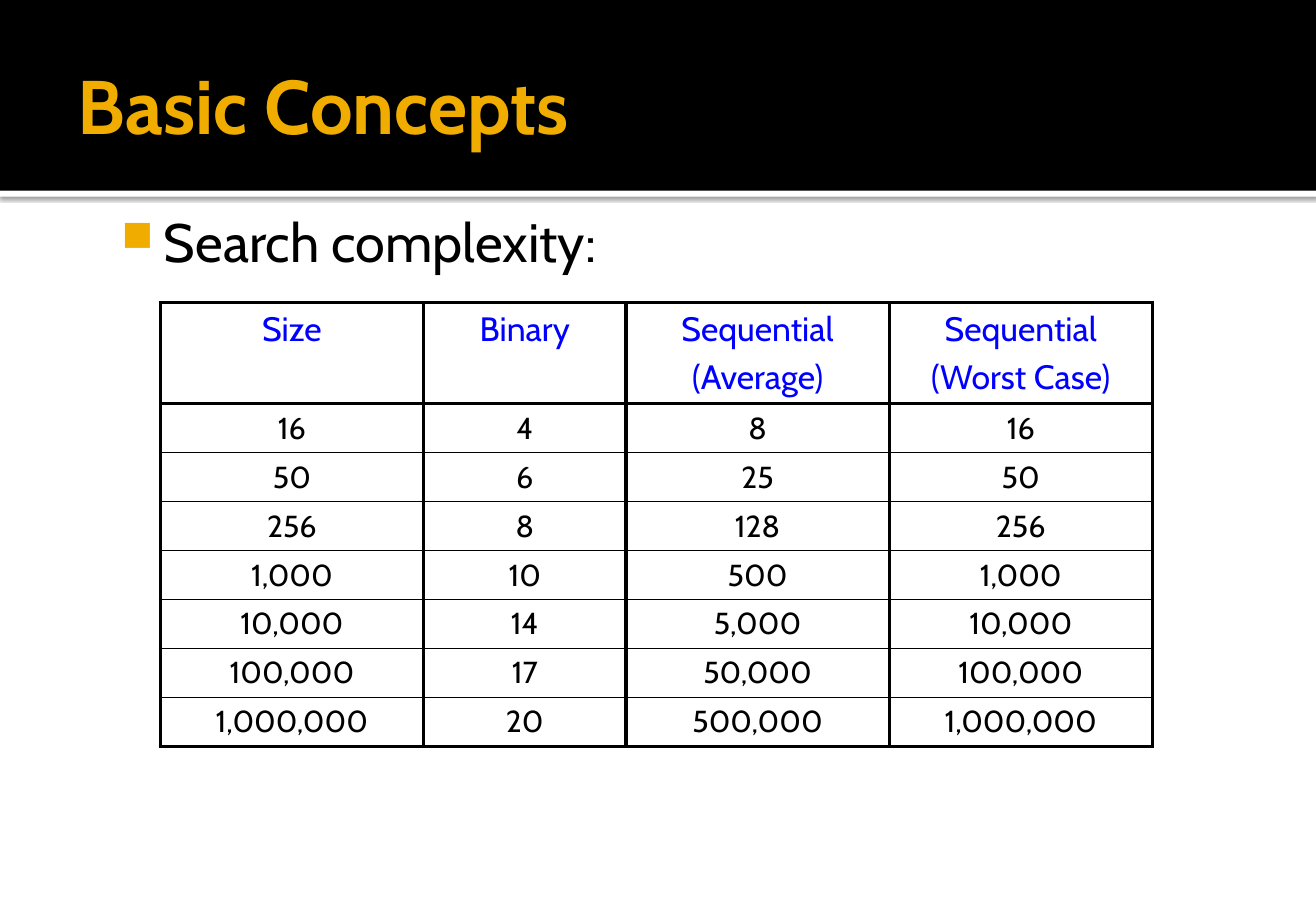
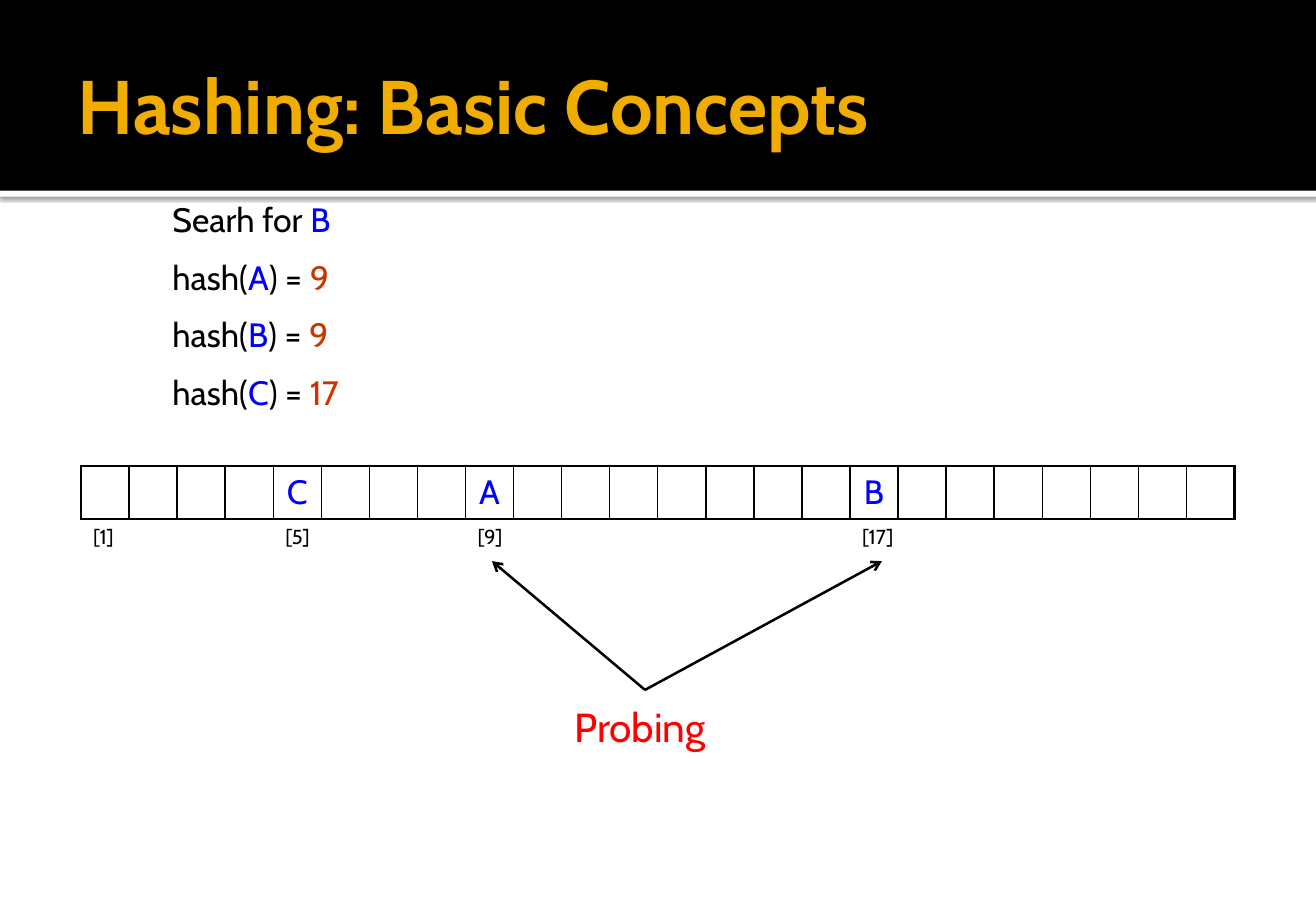
"""Build two slides on search cost and hashing."""
import dataclasses

import lxml.etree
import pptx
import pptx.dml.color
import pptx.enum.shapes
import pptx.enum.text
import pptx.oxml
import pptx.oxml.ns
import pptx.util


@dataclasses.dataclass(frozen=True)
class Theme:
    """Hold the colours, type sizes and grid of the deck."""
    font: str = "Cabin"
    gold: str = "F0AD00"
    black: str = "000000"
    white: str = "FFFFFF"
    blue: str = "0000FF"
    rust: str = "CC3300"
    red: str = "FF0000"
    title: int = 45
    lead: int = 32
    call: int = 24
    text: int = 20
    data: int = 18
    note: int = 12
    cols: int = 65
    rows: int = 45
    band: float = 9.42


THEME = Theme()
LEFT = pptx.enum.text.PP_ALIGN.LEFT
MID = pptx.enum.text.PP_ALIGN.CENTER
PLAIN = "{2D5ABB26-0587-4C30-8999-92F81FD0307C}"


def grid(*units):
    """Turn grid units of a sixth of an inch into lengths."""
    return [pptx.util.Inches(unit / 6) for unit in units]


def paint(color):
    """Turn a hex string into a colour."""
    return pptx.dml.color.RGBColor.from_string(color)


def add_xml(parent, tag, **attrs):
    """Append a drawing element with its attributes."""
    child = lxml.etree.SubElement(parent, pptx.oxml.ns.qn(tag))
    for name, value in attrs.items():
        child.set(name, str(value))
    return child


def write(frame, lines, size, align=LEFT, gap=0.2, bold=False):
    """Write lines of (text, colour) runs into a text frame."""
    for index, line in enumerate(lines):
        para = frame.add_paragraph() if index else frame.paragraphs[0]
        para.alignment = align
        para.space_before = pptx.util.Pt(size * gap if index else 0)
        for text, color in line:
            run = para.add_run()
            run.text = text
            run.font.name = THEME.font
            run.font.size = pptx.util.Pt(size)
            run.font.bold = bold
            run.font.color.rgb = paint(color)


def inset(frame, *sides):
    """Set the left, top, right and bottom insets in inches."""
    (frame.margin_left, frame.margin_top, frame.margin_right,
     frame.margin_bottom) = map(pptx.util.Inches, sides)


def add_text(slide, box, lines, size, gap=0.5):
    """Add a wrapped text box and return its frame."""
    frame = slide.shapes.add_textbox(*grid(*box)).text_frame
    frame.word_wrap = True
    write(frame, lines, size, gap=gap)
    return frame


def add_lead(slide, text):
    """Add the bulleted lead line under the band."""
    frame = add_text(slide, (4.86, 9.72, 55.5, 30.24),
                     [[(text, THEME.black)]], THEME.lead)
    inset(frame, 0.06, 0.1, 0.1, 0.05)
    props = frame.paragraphs[0]._p.get_or_add_pPr()
    props.set("marL", str(pptx.util.Inches(0.48)))
    props.set("indent", str(pptx.util.Inches(-0.35)))
    add_xml(add_xml(props, "a:buClr"), "a:srgbClr", val=THEME.gold)
    add_xml(props, "a:buSzPct", val=80000)
    add_xml(props, "a:buChar", char="■")


def add_band(slide, top, high, color):
    """Add a full-width band and return it."""
    band = slide.shapes.add_shape(pptx.enum.shapes.MSO_SHAPE.RECTANGLE,
                                  *grid(0, top, THEME.cols, high))
    band.shadow.inherit = False
    band.fill.solid()
    band.fill.fore_color.rgb = paint(color)
    band.line.fill.background()
    return band


def dress(slide):
    """Move the title band and its shaded rule to the layout."""
    rule = add_band(slide, THEME.band, 0.3, THEME.white)
    glow = add_xml(rule._element.spPr.find(pptx.oxml.ns.qn("a:effectLst")),
                   "a:outerShdw", blurRad=pptx.util.Pt(2.5),
                   dist=pptx.util.Pt(0.8), dir=5400000, algn="tl", rotWithShape=0)
    shade = add_xml(glow, "a:srgbClr", val=THEME.black)
    add_xml(shade, "a:alpha", val=60000)
    band = add_band(slide, 0, THEME.band, THEME.black)
    tree = slide.slide_layout.shapes.element
    for spot, shape in enumerate((rule, band), 2):
        tree.insert(spot, shape._element)


def add_slide(deck, text):
    """Add a title-only slide and format its title."""
    slide = deck.slides.add_slide(deck.slide_layouts[5])
    title = slide.shapes.title
    title.left, title.top, title.width, title.height = grid(3.24, 1.02, 58.5, 8.22)
    frame = title.text_frame
    frame.word_wrap = True
    frame.auto_size = pptx.enum.text.MSO_AUTO_SIZE.NONE
    frame.vertical_anchor = pptx.enum.text.MSO_ANCHOR.MIDDLE
    inset(frame, 0.1, 0.05, 0.05, 0.05)
    write(frame, [[(text, THEME.gold)]], THEME.title, bold=True)
    return slide


def add_table(slide, left, top, cols, rows):
    """Add an unstyled table with the given column and row sizes."""
    box = grid(left, top, sum(cols), sum(rows))
    table = slide.shapes.add_table(len(rows), len(cols), *box).table
    table.first_row = table.horz_banding = False
    table._tbl.tblPr.find(pptx.oxml.ns.qn("a:tableStyleId")).text = PLAIN
    for col, width in zip(table.columns, grid(*cols)):
        col.width = width
    for row, height in zip(table.rows, grid(*rows)):
        row.height = height
    return table


def edge(cell, left, right, top, bottom):
    """Draw cell borders by width, with none at zero, and clear the fill."""
    props = cell._tc.get_or_add_tcPr()
    for side, width in zip("LRTB", (left, right, top, bottom)):
        line = add_xml(props, "a:ln" + side, w=pptx.util.Pt(width))
        if width:
            add_xml(add_xml(line, "a:solidFill"), "a:srgbClr", val=THEME.black)
        else:
            add_xml(line, "a:noFill")
    cell.fill.background()


def add_costs(slide, data):
    """Add the table of search costs."""
    table = add_table(slide, 7.92, 14.94, (13, 10, 13, 13),
                      [5] + [2.42] * (len(data) - 1))
    thick, thin = 2.25, 1
    last = len(data) - 1
    for y, row in enumerate(data):
        color, size = (THEME.black, THEME.data) if y else (THEME.blue, THEME.text)
        for x, text in enumerate(row):
            cell = table.cell(y, x)
            lines = [[(part, color)] for part in text.split("\n")]
            write(cell.text_frame, lines, size, MID)
            edge(cell, thick, thick, thick if y < 2 else thin,
                 thick if y in (0, last) else thin)


def add_slots(slide, count, keys, marks):
    """Add the row of hash slots with index marks below."""
    table = add_table(slide, 4, 23, [57 / count] * count, (2.6, 2.4))
    thick, thin = 1.5, 1
    for x in range(count):
        slot, below = table.cell(0, x), table.cell(1, x)
        edge(slot, thin if x else thick, thin if x < count - 1 else thick,
             thick, thick)
        edge(below, 0, 0, thick, 0)
        if x + 1 in keys:
            write(slot.text_frame, [[(keys[x + 1], THEME.blue)]], THEME.text, MID)
        if x + 1 in marks:
            below.merge(table.cell(1, x + 1))
            write(below.text_frame, [[(f"[{x + 1}]", THEME.black)]], THEME.note)


def add_arrow(slide, start, end):
    """Add a straight arrow between two grid points."""
    arrow = slide.shapes.add_connector(pptx.enum.shapes.MSO_CONNECTOR.STRAIGHT,
                                       *grid(*start, *end))
    arrow.line.color.rgb = paint(THEME.black)
    arrow.line.width = pptx.util.Pt(1.5)
    add_xml(arrow.line._get_or_add_ln(), "a:tailEnd", type="arrow")
    add_xml(arrow._element.spPr, "a:effectLst")


def hash_line(key, value):
    """Return the coloured runs of one hash result."""
    return [("hash(", THEME.black), (key, THEME.blue),
            (") = ", THEME.black), (value, THEME.rust)]


def main():
    """Build and save the deck."""
    deck = pptx.Presentation()
    deck.slide_width, deck.slide_height = grid(THEME.cols, THEME.rows)

    search = add_slide(deck, "Basic Concepts")
    dress(search)
    add_lead(search, "Search complexity:")
    add_costs(search, [
        ("Size", "Binary", "Sequential\n(Average)", "Sequential\n(Worst Case)"),
        ("16", "4", "8", "16"),
        ("50", "6", "25", "50"),
        ("256", "8", "128", "256"),
        ("1,000", "10", "500", "1,000"),
        ("10,000", "14", "5,000", "10,000"),
        ("100,000", "17", "50,000", "100,000"),
        ("1,000,000", "20", "500,000", "1,000,000"),
    ])

    hashing = add_slide(deck, "Hashing: Basic Concepts")
    add_slots(hashing, 24, {5: "C", 9: "A", 17: "B"}, (1, 5, 9, 17))
    add_text(hashing, (27.78, 34.38, 9, 3), [[("Probing", THEME.red)]], THEME.call)
    pairs = (("A", "9"), ("B", "9"), ("C", "17"))
    lines = [[("Searh for ", THEME.black), ("B", THEME.blue)]]
    lines += [hash_line(*pair) for pair in pairs]
    add_text(hashing, (7.92, 9.54, 14, 11.58), lines, THEME.text)
    for x in (24.3, 43.56):
        add_arrow(hashing, (31.86, 34.08), (x, 27.72))

    deck.save("out.pptx")


if __name__ == "__main__":
    main()
